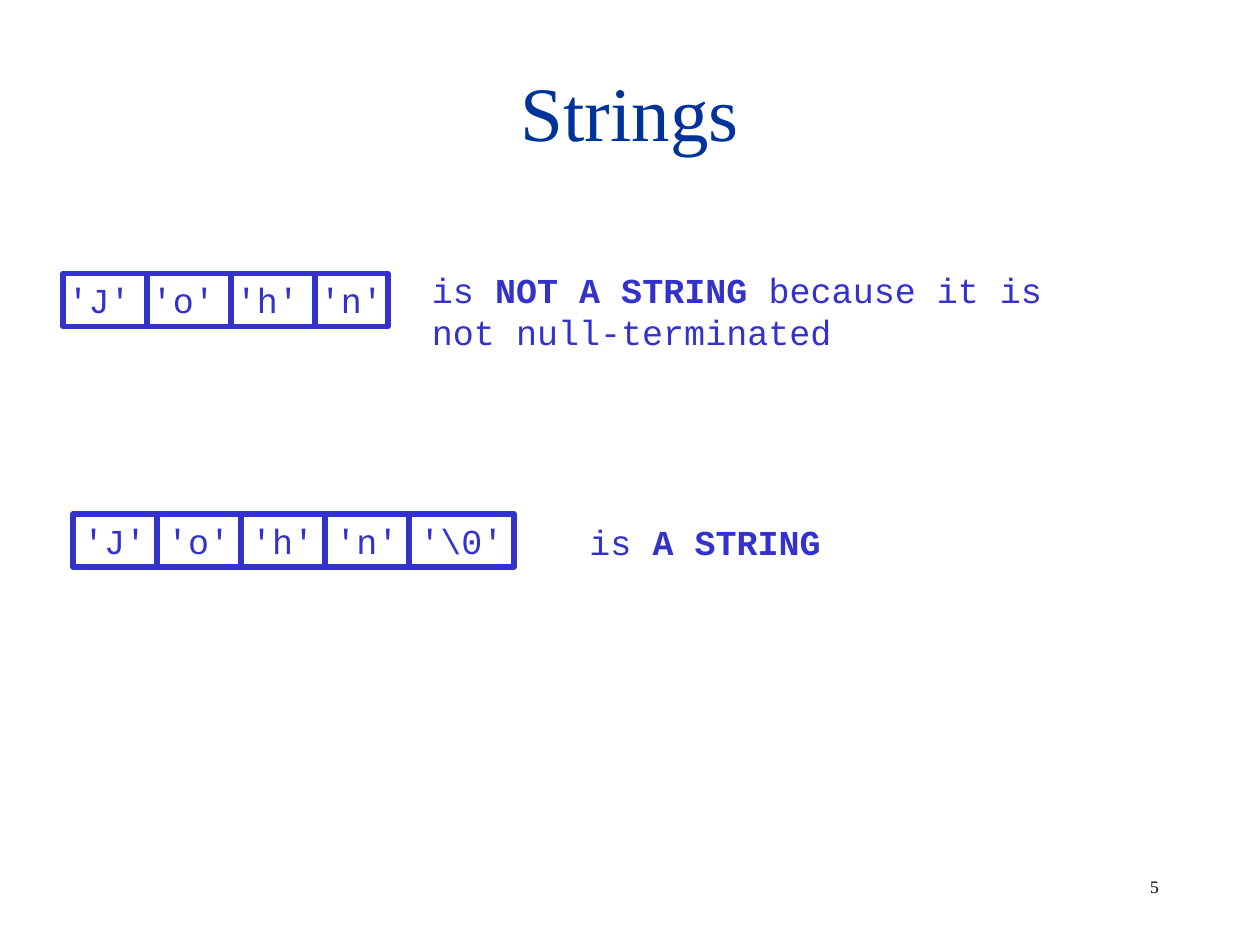
from pptx import Presentation
from pptx.dml.color import RGBColor
from pptx.enum.shapes import MSO_CONNECTOR as CONN, MSO_SHAPE as SHAPE
from pptx.enum.text import MSO_ANCHOR as ANCHOR, PP_ALIGN as ALIGN
from pptx.oxml.ns import qn
from pptx.util import Inches, Pt
from lxml import etree

CODE = {"name": "Courier New", "size": Pt(20)}
BLUE = "3333CC"


def rgb(value):
    return RGBColor.from_string(value)


def add_run(p, text, color, fmt):
    r = p.add_run()
    r.text = text
    for name, value in fmt.items():
        setattr(r.font, name, value)
    r.font.color.rgb = rgb(color)


prs = Presentation()
prs.slide_width, prs.slide_height = Inches(10), Inches(7.5)
s = prs.slides.add_slide(prs.slide_layouts[5])

# Title
title = s.shapes.title
title.left, title.top = Inches(0.75), Inches(0.25)
title.width, title.height = Inches(8.5), Inches(1.25)
tf = title.text_frame
tf.vertical_anchor = ANCHOR.MIDDLE
p = tf.paragraphs[0]
p.alignment = ALIGN.CENTER
add_run(p, "Strings", "003399", {"name": "Times New Roman", "size": Pt(44)})

# Character arrays: left, top, width, characters
cell_w, cell_h = 2 / 3, 0.42
arrays = [
    (0.5, 2.17, 2.58, ["'J'", "'o'", "'h'", "'n'"]),
    (0.58, 4.08, 3.5, ["'J'", "'o'", "'h'", "'n'", "'\\0'"]),
]
for left, top, width, chars in arrays:
    sp = s.shapes.add_shape(SHAPE.RECTANGLE, Inches(left), Inches(top),
                            Inches(width), Inches(cell_h))
    sp.shadow.inherit = False
    sp.fill.background()
    sp.line.color.rgb = rgb(BLUE)
    sp.line.width = Pt(3)
    tf = sp.text_frame
    tf.word_wrap = False
    tf.vertical_anchor = ANCHOR.MIDDLE
    p = tf.paragraphs[0]
    p.alignment = ALIGN.CENTER
    add_run(p, " ".join(chars), BLUE, CODE)

    # Cell dividers
    for i in range(1, len(chars)):
        x = Inches(left + i * cell_w)
        divider = s.shapes.add_connector(CONN.STRAIGHT, x, Inches(top),
                                         x, Inches(top + cell_h))
        divider.line.color.rgb = rgb(BLUE)
        divider.line.width = Pt(3)
        etree.SubElement(divider._element.spPr, qn("a:effectLst"))

# Captions: left, top, width, height, lines of (text, bold) runs
captions = [
    (3.33, 2.08, 5.21, 0.77, [
        [("is ", False), ("NOT A STRING", True), (" because it is", False)],
        [("not null-terminated", False)],
    ]),
    (4.58, 4.08, 2.2, 0.44, [[("is", False), (" A STRING", True)]]),
]
for left, top, width, height, lines in captions:
    sp = s.shapes.add_textbox(Inches(left), Inches(top), Inches(width), Inches(height))
    tf = sp.text_frame
    tf.word_wrap = True
    for i, line in enumerate(lines):
        p = tf.add_paragraph() if i else tf.paragraphs[0]
        for text, bold in line:
            add_run(p, text, BLUE, {**CODE, "bold": bold})

# Slide number
sp = s.shapes.add_textbox(Inches(9.03), Inches(6.9), Inches(0.78), Inches(0.27))
sp.text_frame.word_wrap = True
add_run(sp.text_frame.paragraphs[0], "5", "000000",
        {"name": "Times New Roman", "size": Pt(10)})

prs.save("out.pptx")
